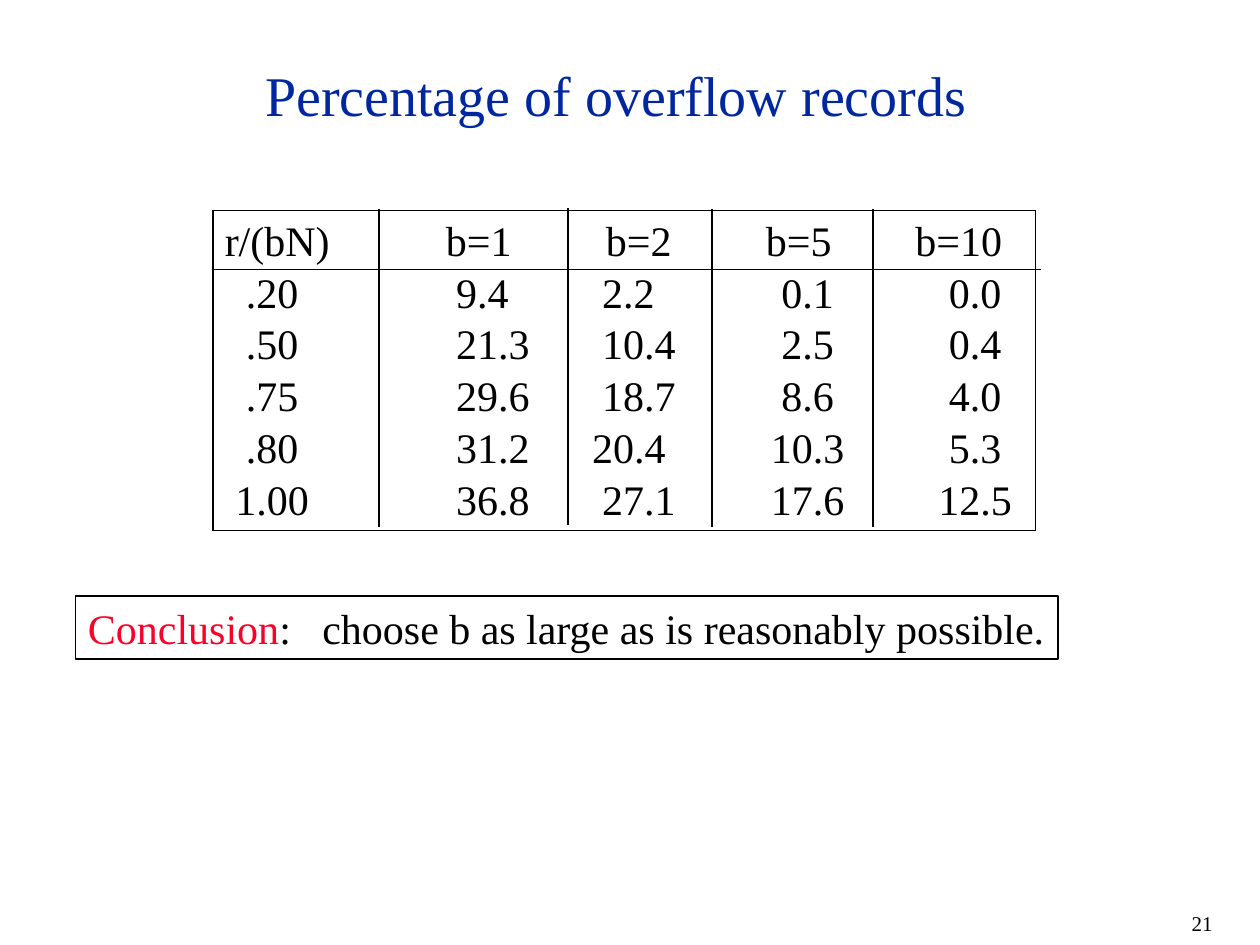
from dataclasses import dataclass

from lxml.etree import SubElement
from pptx import Presentation
from pptx.dml.color import RGBColor
from pptx.enum.shapes import MSO_CONNECTOR, MSO_SHAPE
from pptx.enum.text import MSO_ANCHOR, MSO_AUTO_SIZE, PP_ALIGN
from pptx.oxml import parse_xml
from pptx.oxml.ns import nsdecls, qn
from pptx.util import Inches, Pt


@dataclass(frozen=True)
class Theme:
    font: str = "Times New Roman"
    black: str = "000000"
    blue: str = "00279F"
    red: str = "FC0128"
    title: int = 32
    body: int = 24
    number: int = 12
    line: int = 1


@dataclass(frozen=True)
class Column:
    """Positions are inches from the slide's left edge."""
    label: str
    width: float
    label_center: float
    body_x: float
    body_align: PP_ALIGN
    values: tuple[str, ...]


@dataclass(frozen=True)
class Rule:
    x1: float
    y1: float
    x2: float
    y2: float


T = Theme()
LEFT, CENTER = PP_ALIGN.LEFT, PP_ALIGN.CENTER
TABLE_LEFT, TABLE_TOP, TABLE_HEIGHT = 1.69, 1.67, 2.5
HEADER_HEIGHT, ROW_HEIGHT = 0.47, 0.4
HEADER_PAD, ROW_PAD = 0.07, 0.01
COLUMNS = (
    Column("r/(bN)", 1.32, 2.2, 2.16, CENTER, (".20", ".50", ".75", ".80", "1.00")),
    Column("b=1", 1.5, 3.8, 3.62, LEFT, ("9.4", "21.3", "29.6", "31.2", "36.8")),
    Column("b=2", 1.14, 5.07, 4.78, LEFT, ("2.2", "10.4", "18.7", "20.4", "27.1")),
    Column("b=5", 1.28, 6.34, 6.41, CENTER, ("0.1", "2.5", "8.6", "10.3", "17.6")),
    Column("b=10", 1.29, 7.61, 7.74, CENTER, ("0.0", "0.4", "4.0", "5.3", "12.5")),
)
OUTDENTS = {"20.4": 0.08}
# The rules run slightly past the table's frame
RULES = (
    Rule(1.68, 2.14, 8.26, 2.14),
    Rule(4.51, 1.65, 4.51, 4.17),
    *(Rule(x, 1.66, x, 4.18) for x in (3.01, 5.65, 6.93)),
)


def add_run(p, text: str, size: int, color: str) -> None:
    r = p.add_run()
    r.text = text
    for name, value in {"name": T.font, "size": Pt(size)}.items():
        setattr(r.font, name, value)
    r.font.color.rgb = RGBColor.from_string(color)


def add_text(s, box: tuple[float, ...], text: str, size: int, color: str,
             **frame_format) -> None:
    tf = s.shapes.add_textbox(*map(Inches, box)).text_frame
    align = frame_format.pop("align", LEFT)
    for name, value in frame_format.items():
        setattr(tf, name, value)
    p = tf.paragraphs[0]
    p.alignment = align
    add_run(p, text, size, color)


def style_line(line) -> None:
    line.color.rgb = RGBColor.from_string(T.black)
    line.width = Pt(T.line)


def set_borders(cell, visible: str) -> None:
    """Draw the sides named in visible (any of L, R, T, B) and hide the rest."""
    tc_pr = cell._tc.get_or_add_tcPr()
    for i, side in enumerate("LRTB"):
        fill = (f'<a:solidFill><a:srgbClr val="{T.black}"/></a:solidFill>'
                if side in visible else "<a:noFill/>")
        tc_pr.insert(i, parse_xml(
            f'<a:ln{side} {nsdecls("a")} w="{Pt(T.line)}">{fill}</a:ln{side}>'))


def fill_cell(cell, text: str, left: float, width: float, x: float,
              align: PP_ALIGN, pad: float, sides: str) -> None:
    # Margins place the text's left edge or its centre at x
    shift = x - left if align == LEFT else 2 * (x - left - width / 2)
    cell_format = {
        "margin_left": Inches(max(shift, 0)),
        "margin_right": Inches(max(-shift, 0)),
        "margin_top": Inches(pad),
        "margin_bottom": 0,
        "vertical_anchor": MSO_ANCHOR.TOP,
    }
    for name, value in cell_format.items():
        setattr(cell, name, value)
    cell.fill.background()
    set_borders(cell, sides)
    p = cell.text_frame.paragraphs[0]
    p.alignment = align
    add_run(p, text, T.body, T.black)


def add_overflow_table(s) -> None:
    last_row, last_col = len(COLUMNS[0].values), len(COLUMNS) - 1
    width = sum(c.width for c in COLUMNS)
    table = s.shapes.add_table(
        last_row + 1, last_col + 1,
        *map(Inches, (TABLE_LEFT, TABLE_TOP, width, TABLE_HEIGHT))).table
    table.first_row = table.horz_banding = False

    # The last row takes the height that is left
    heights = [HEADER_HEIGHT] + [ROW_HEIGHT] * (last_row - 1)
    heights.append(TABLE_HEIGHT - sum(heights))
    for row, height in zip(table.rows, heights):
        row.height = Inches(height)

    left = TABLE_LEFT
    for j, c in enumerate(COLUMNS):
        table.columns[j].width = Inches(c.width)
        outer = {0: "L", last_col: "R"}.get(j, "")
        fill_cell(table.cell(0, j), c.label, left, c.width,
                  c.label_center, CENTER, HEADER_PAD, outer + "T")
        for i, value in enumerate(c.values, 1):
            fill_cell(table.cell(i, j), value, left, c.width,
                      c.body_x - OUTDENTS.get(value, 0), c.body_align,
                      ROW_PAD, outer + ("B" if i == last_row else ""))
        left += c.width


def add_rule(s, rule: Rule) -> None:
    sp = s.shapes.add_connector(
        MSO_CONNECTOR.STRAIGHT,
        *map(Inches, (rule.x1, rule.y1, rule.x2, rule.y2)))
    style_line(sp.line)
    SubElement(sp._element.spPr, qn("a:effectLst"))


def add_conclusion(s) -> None:
    sp = s.shapes.add_shape(MSO_SHAPE.RECTANGLE, *map(Inches, (0.6, 4.73, 7.8, 0.5)))
    sp.shadow.inherit = False
    sp.fill.background()
    style_line(sp.line)
    tf = sp.text_frame
    frame_format = {
        "word_wrap": False,
        "vertical_anchor": MSO_ANCHOR.TOP,
        "auto_size": MSO_AUTO_SIZE.SHAPE_TO_FIT_TEXT,
    }
    for name, value in frame_format.items():
        setattr(tf, name, value)
    p = tf.paragraphs[0]
    p.alignment = LEFT
    tabs = SubElement(p._p.get_or_add_pPr(), qn("a:tabLst"))
    SubElement(tabs, qn("a:tab"), pos=str(Inches(1.86)), algn="l")
    add_run(p, "Conclusion", T.body, T.red)
    add_run(p, ":\tchoose b as large as is reasonably possible.", T.body, T.black)


def main() -> None:
    prs = Presentation()
    prs.slide_width, prs.slide_height = Inches(10), Inches(7.5)
    s = prs.slides.add_slide(prs.slide_layouts[6])

    # Title and slide number
    add_text(s, (0.88, 0.37, 8.02, 0.75), "Percentage of overflow records",
             T.title, T.blue, align=CENTER, word_wrap=True,
             vertical_anchor=MSO_ANCHOR.MIDDLE)
    add_text(s, (9.36, 7.18, 0.9, 0.3), "21", T.number, T.black, word_wrap=False)

    # Overflow percentages and what follows from them
    add_overflow_table(s)
    for rule in RULES:
        add_rule(s, rule)
    add_conclusion(s)

    prs.save("out.pptx")


if __name__ == "__main__":
    main()
